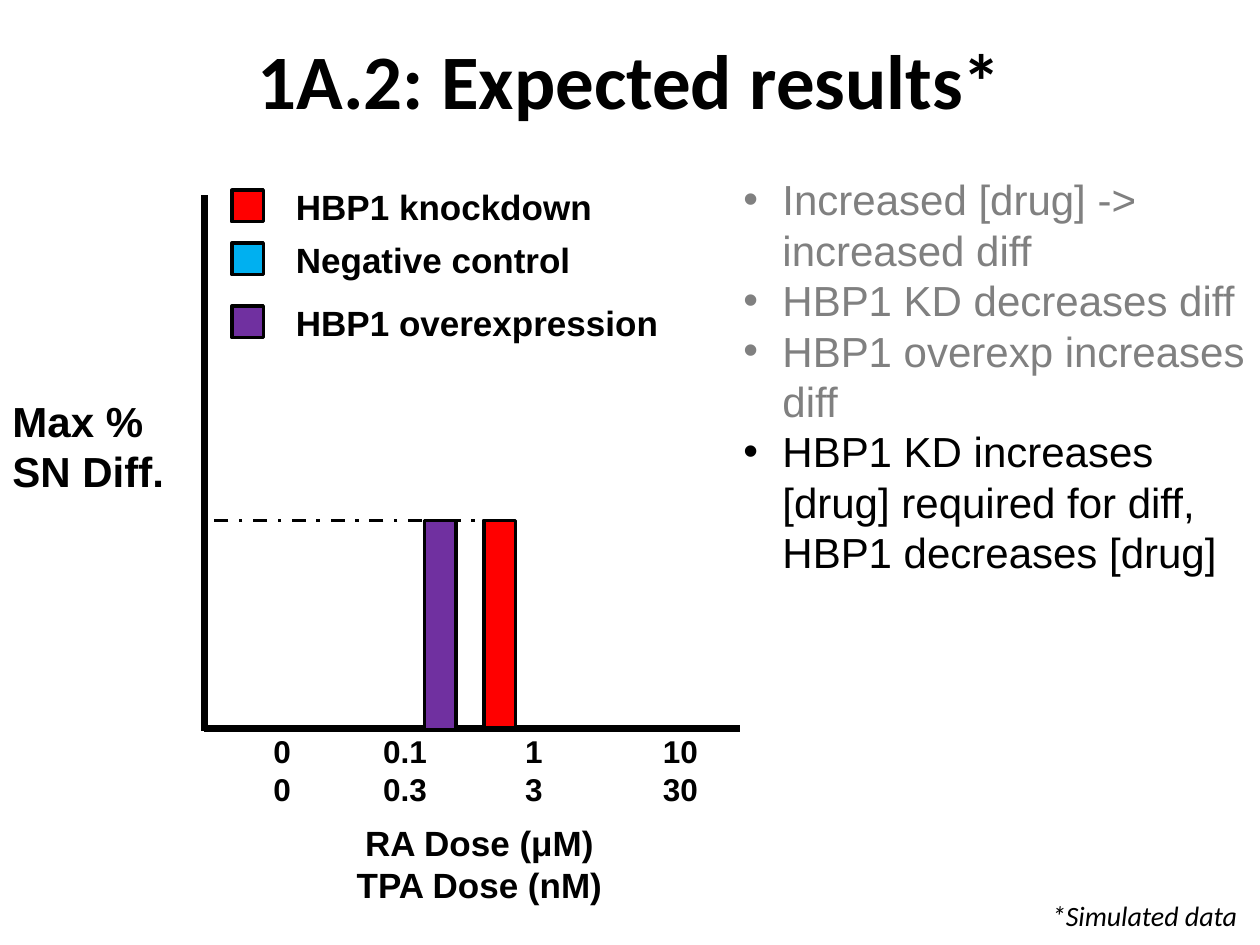
"""Build the slide of expected results for HBP1 and drug dose."""
import pptx
import pptx.util
import pptx.dml.color
import pptx.enum.dml
import pptx.enum.shapes
import pptx.enum.text
import pptx.oxml.ns
import lxml.etree

PX = 9144
RGB = pptx.dml.color.RGBColor
BLACK = RGB(0, 0, 0)
GRAY = RGB(0x80, 0x80, 0x80)
RED = RGB(0xFF, 0, 0)
BLUE = RGB(0, 0xB0, 0xF0)
PURPLE = RGB(0x70, 0x30, 0xA0)
ALIGN = pptx.enum.text.PP_ALIGN
LEFT, MID = ALIGN.LEFT, ALIGN.CENTER
SIZE = pptx.enum.text.MSO_AUTO_SIZE
LINE = pptx.enum.shapes.MSO_CONNECTOR.STRAIGHT
RECT = pptx.enum.shapes.MSO_SHAPE.RECTANGLE


def place(item, *box):
    for name, val in zip(("left", "top", "width", "height"), box):
        setattr(item, name, val * PX)


def write(item, lines, align, size, **form):
    frame = item.text_frame
    frame.text = "\n".join(lines)
    look = {"name": "Arial", "size": pptx.util.Pt(size), "bold": True} | form
    for para in frame.paragraphs:
        para.alignment = align
        for run in para.runs:
            run.font.color.rgb = BLACK
            for key, val in look.items():
                setattr(run.font, key, val)


deck = pptx.Presentation()
deck.slide_width, deck.slide_height = 1000 * PX, 750 * PX
slide = deck.slides.add_slide(deck.slide_layouts[1])
shapes = slide.shapes

place(shapes.title, 50, 0, 900, 125)
write(shapes.title, ["1A.2: Expected results*"], MID, 44, name="Calibri")

body = slide.placeholders[1]
place(body, 580, 133, 420, 333)
write(body, [
    "Increased [drug] -> increased diff",
    "HBP1 KD decreases diff",
    "HBP1 overexp increases diff",
    "HBP1 KD increases [drug] required for diff, HBP1 decreases [drug]",
], LEFT, 24, bold=False)
body.text_frame.auto_size = SIZE.NONE
paras = body.text_frame.paragraphs
for para in paras:
    para.space_before = pptx.util.Pt(0)
    props = para._p.get_or_add_pPr()
    props.set("marL", str(31 * PX))
    props.set("indent", str(-31 * PX))
for para in paras[:-1]:
    para.runs[0].font.color.rgb = GRAY

wires = []
for ends, width in (
    ((162, 155, 162, 580), 4),
    ((162, 578, 587, 578), 4),
    ((396, 413, 162, 413), 2),
):
    wire = shapes.add_connector(LINE, *(n * PX for n in ends))
    wire.line.color.rgb = BLACK
    wire.line.width = pptx.util.Pt(width)
    lxml.etree.SubElement(wire._element.spPr, pptx.oxml.ns.qn("a:effectLst"))
    wires.append(wire)
level = wires[-1]
level.line.dash_style = pptx.enum.dml.MSO_LINE.DASH_DOT

keys = (
    ("HBP1 knockdown", RED, 151, 257),
    ("Negative control", BLUE, 193, 240),
    ("HBP1 overexpression", PURPLE, 243, 310),
)
bars = [(384, 413, 165, RED), (337, 413, 166, PURPLE)]
bars += [(184, top, 25, hue) for _, hue, top, _ in keys]
rects = []
for left, top, high, hue in bars:
    rect = shapes.add_shape(RECT, *(n * PX for n in (left, top, 25, high)))
    rect.shadow.inherit = False
    rect.fill.solid()
    rect.fill.fore_color.rgb = hue
    rect.line.color.rgb = BLACK
    rect.line.width = pptx.util.Pt(2)
    rects.append(rect)
level.begin_connect(rects[0], 0)

labels = [
    ((225, top - 9, wide, 44), [name], LEFT, 20, {})
    for name, _, top, wide in keys
]
labels += [
    ((left, 576, wide, 71), dose, align, 18, {})
    for left, wide, dose, align in (
        (207, 34, ["0", "0"], MID),
        (294, 55, ["0.1", "0.3"], MID),
        (407, 34, ["1", "3"], LEFT),
        (516, 48, ["10", "30"], MID),
    )
]
labels += [
    ((0, 309, 142, 91), ["Max %", "SN Diff."], LEFT, 24, {}),
    ((272, 647, 217, 77), ["RA Dose (μM)", "TPA Dose (nM)"], MID, 20, {}),
    ((825, 708, 169, 37), ["*Simulated data"], LEFT, 16,
     {"name": "Calibri", "bold": False, "italic": True}),
]
for box, lines, align, size, form in labels:
    label = shapes.add_textbox(*(n * PX for n in box))
    write(label, lines, align, size, **form)
    label.text_frame.word_wrap = False
    label.text_frame.auto_size = SIZE.SHAPE_TO_FIT_TEXT

deck.save("out.pptx")
